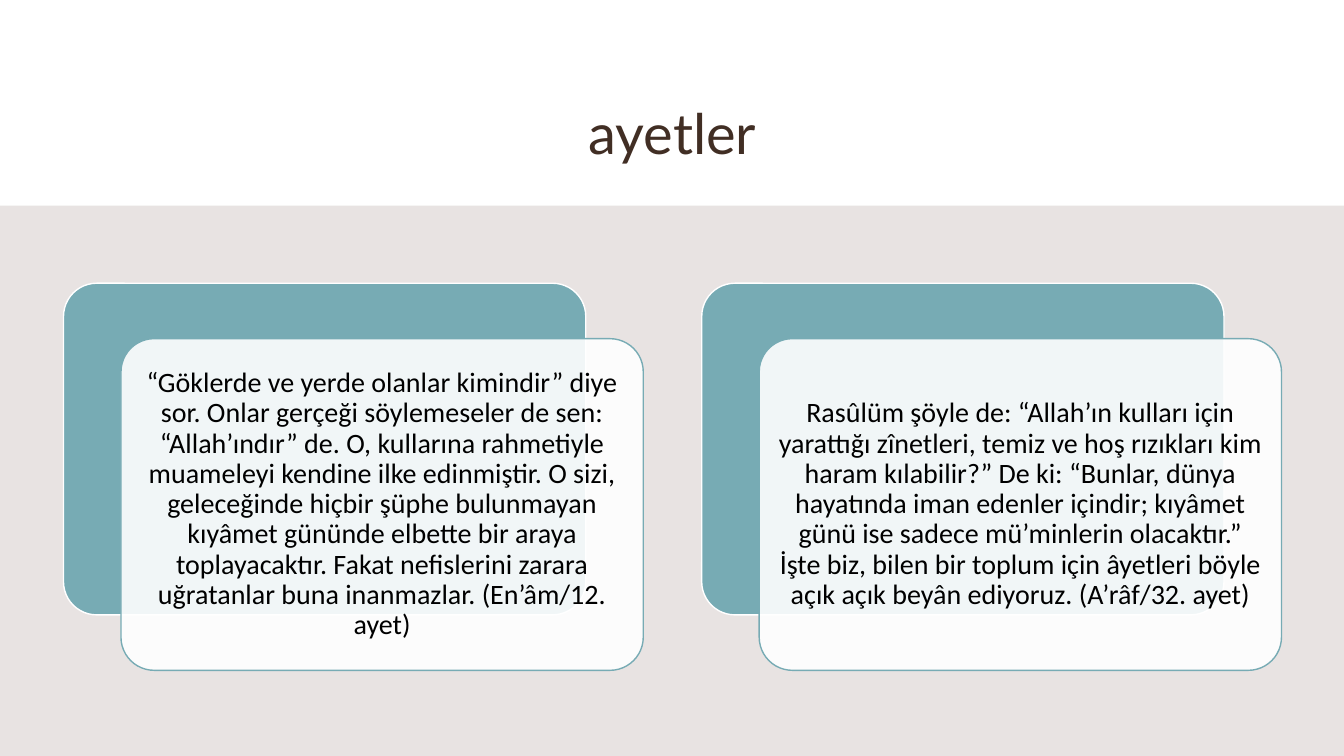
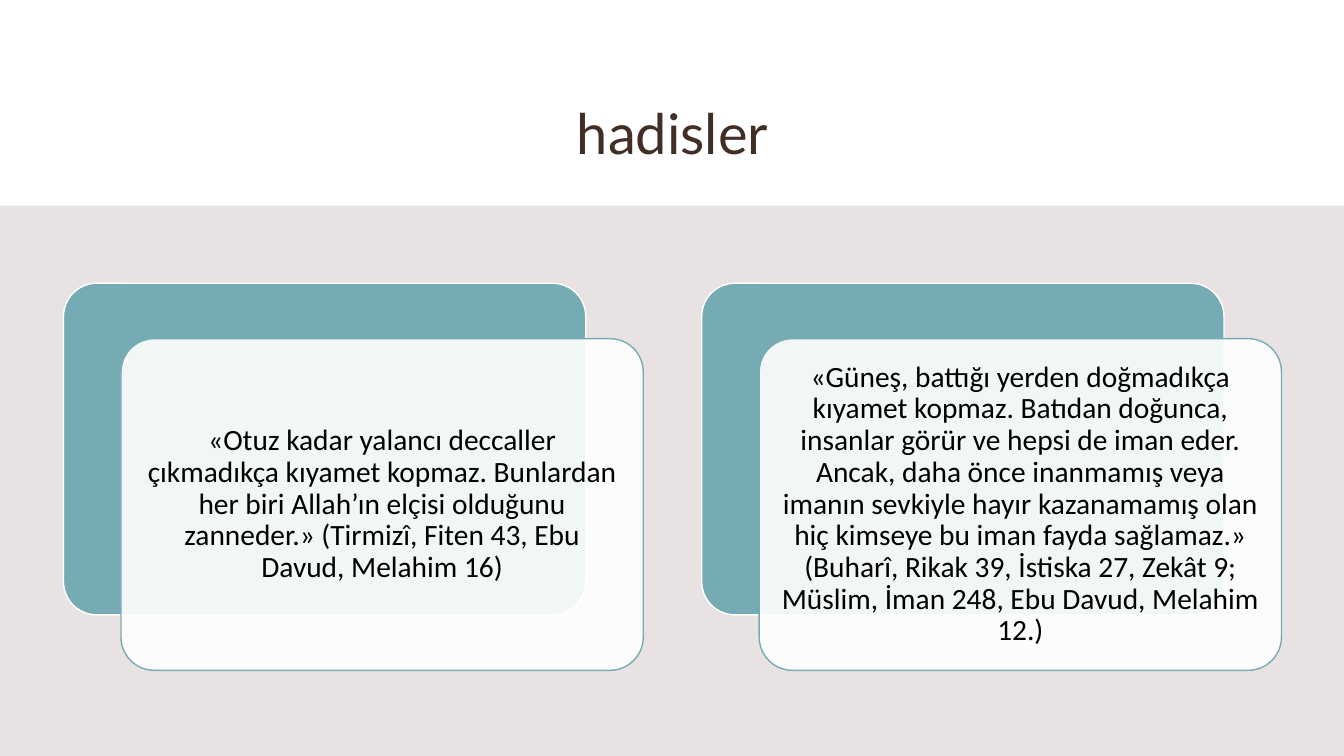
from lxml.etree import SubElement
from pptx import Presentation
from pptx.dml.color import RGBColor
from pptx.enum.shapes import MSO_SHAPE
from pptx.enum.text import MSO_ANCHOR, MSO_AUTO_SIZE, PP_ALIGN
from pptx.oxml.ns import qn
from pptx.util import Inches, Pt

WHITE, BLACK = "FFFFFF", "000000"
TEAL, BROWN, BAND = "77ABB4", "412E24", "E8E3E2"

SLIDES = [
    {
        "title": "ayetler",
        "size": 20,
        "inset": 0.08,
        "quotes": [
            "“Göklerde ve yerde olanlar kimindir” diye sor. Onlar gerçeği söylemeseler de sen: "
            "“Allah’ındır” de. O, kullarına rahmetiyle muameleyi kendine ilke edinmiştir. O sizi, "
            "geleceğinde hiçbir şüphe bulunmayan kıyâmet gününde elbette bir araya toplayacaktır. "
            "Fakat nefislerini zarara uğratanlar buna inanmazlar. (En’âm/12. ayet)",
            "Rasûlüm şöyle de: “Allah’ın kulları için yarattığı zînetleri, temiz ve hoş rızıkları "
            "kim haram kılabilir?” De ki: “Bunlar, dünya hayatında iman edenler içindir; kıyâmet "
            "günü ise sadece mü’minlerin olacaktır.” İşte biz, bilen bir toplum için âyetleri böyle "
            "açık açık beyân ediyoruz. (A’râf/32. ayet)",
        ],
    },
    {
        "title": "hadisler",
        "size": 21,
        "inset": 0.09,
        "quotes": [
            "«Otuz kadar yalancı deccaller çıkmadıkça kıyamet kopmaz. Bunlardan her biri Allah’ın "
            "elçisi olduğunu zanneder.» (Tirmizî, Fiten 43, Ebu Davud, Melahim 16)",
            "«Güneş, battığı yerden doğmadıkça kıyamet kopmaz. Batıdan doğunca, insanlar görür ve "
            "hepsi de iman eder. Ancak, daha önce inanmamış veya imanın sevkiyle hayır kazanamamış "
            "olan hiç kimseye bu iman fayda sağlamaz.» (Buharî, Rikak 39, İstiska 27, Zekât 9; "
            "Müslim, İman 248, Ebu Davud, Melahim 12.)",
        ],
    },
]

SLIDE_WIDTH, SLIDE_HEIGHT = 13.33, 7.5
BAND_TOP = 2.04
CARD_LEFT, CARD_TOP, CARD_WIDTH, CARD_HEIGHT = 0.63, 2.81, 5.18, 3.29
CARD_STEP = 6.33
OFFSET_X, OFFSET_Y = 0.57, 0.55


def color(value):
    return RGBColor.from_string(value)


def write(shape, text, *, size, font, fill, inset=0.1, line_spacing=1.0):
    frame = shape.text_frame
    frame.word_wrap = True
    frame.auto_size = MSO_AUTO_SIZE.NONE
    frame.vertical_anchor = MSO_ANCHOR.MIDDLE
    frame.margin_left = frame.margin_right = Inches(inset)
    frame.margin_top = frame.margin_bottom = Inches(inset)
    paragraph = frame.paragraphs[0]
    paragraph.alignment = PP_ALIGN.CENTER
    paragraph.line_spacing = line_spacing
    run = paragraph.add_run()
    run.text = text
    run.font.size = Pt(size)
    run.font.name = font
    run.font.color.rgb = color(fill)


def add_box(slide, kind, left, top, width, height, fill, line=None, opacity=100):
    shape = slide.shapes.add_shape(kind, Inches(left), Inches(top), Inches(width), Inches(height))
    shape.shadow.inherit = False
    shape.fill.solid()
    shape.fill.fore_color.rgb = color(fill)
    if opacity < 100:
        fill_color = shape.element.spPr.find(qn("a:solidFill"))[0]
        SubElement(fill_color, qn("a:alpha"), val=str(opacity * 1000))
    if line:
        shape.line.color.rgb = color(line)
        shape.line.width = Pt(1)
    else:
        shape.line.fill.background()
    return shape


def add_card(slide, left, fill, line, raised=False, opacity=100):
    top = CARD_TOP
    if raised:
        left, top = left + OFFSET_X, top + OFFSET_Y
    card = add_box(slide, MSO_SHAPE.ROUNDED_RECTANGLE, left, top, CARD_WIDTH, CARD_HEIGHT,
                   fill, line, opacity)
    card.adjustments[0] = 0.1
    return card


def add_quote_slide(presentation, layout, content):
    slide = presentation.slides.add_slide(layout)
    write(slide.shapes.title, content["title"], size=40, font="Lato", fill=BROWN)
    add_box(slide, MSO_SHAPE.RECTANGLE, 0, BAND_TOP, SLIDE_WIDTH, SLIDE_HEIGHT - BAND_TOP, BAND)
    for index, quote in enumerate(content["quotes"]):
        left = CARD_LEFT + index * CARD_STEP
        add_card(slide, left, TEAL, WHITE)
        front = add_card(slide, left, WHITE, TEAL, raised=True, opacity=90)
        write(front, quote, size=content["size"], font="Calibri", fill=BLACK,
              inset=content["inset"], line_spacing=0.9)


def main():
    presentation = Presentation()
    presentation.slide_width = Inches(SLIDE_WIDTH)
    presentation.slide_height = Inches(SLIDE_HEIGHT)
    layout = presentation.slide_layouts.get_by_name("Title Only")
    title = layout.placeholders[0]
    title.left, title.top = Inches(1.56), Inches(0.77)
    title.width, title.height = Inches(10.22), Inches(1.09)
    for content in SLIDES:
        add_quote_slide(presentation, layout, content)
    presentation.save("out.pptx")


if __name__ == "__main__":
    main()
